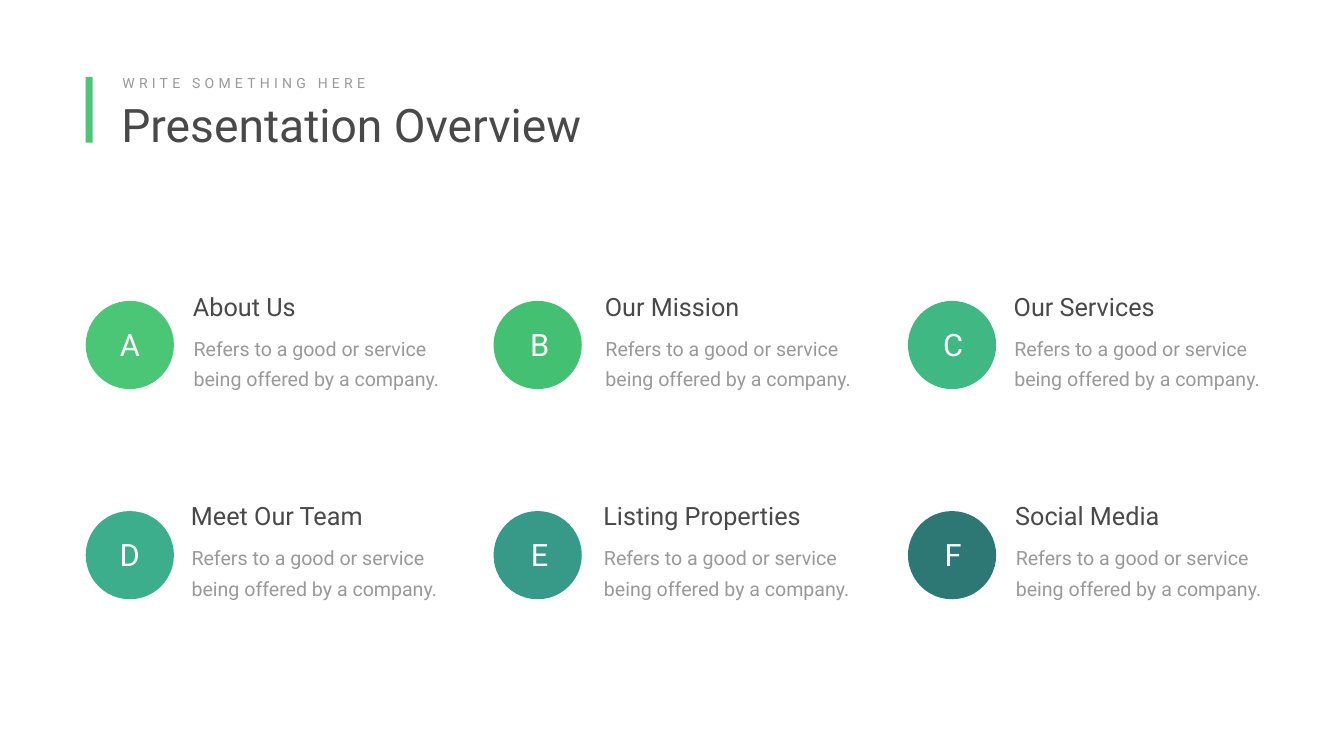
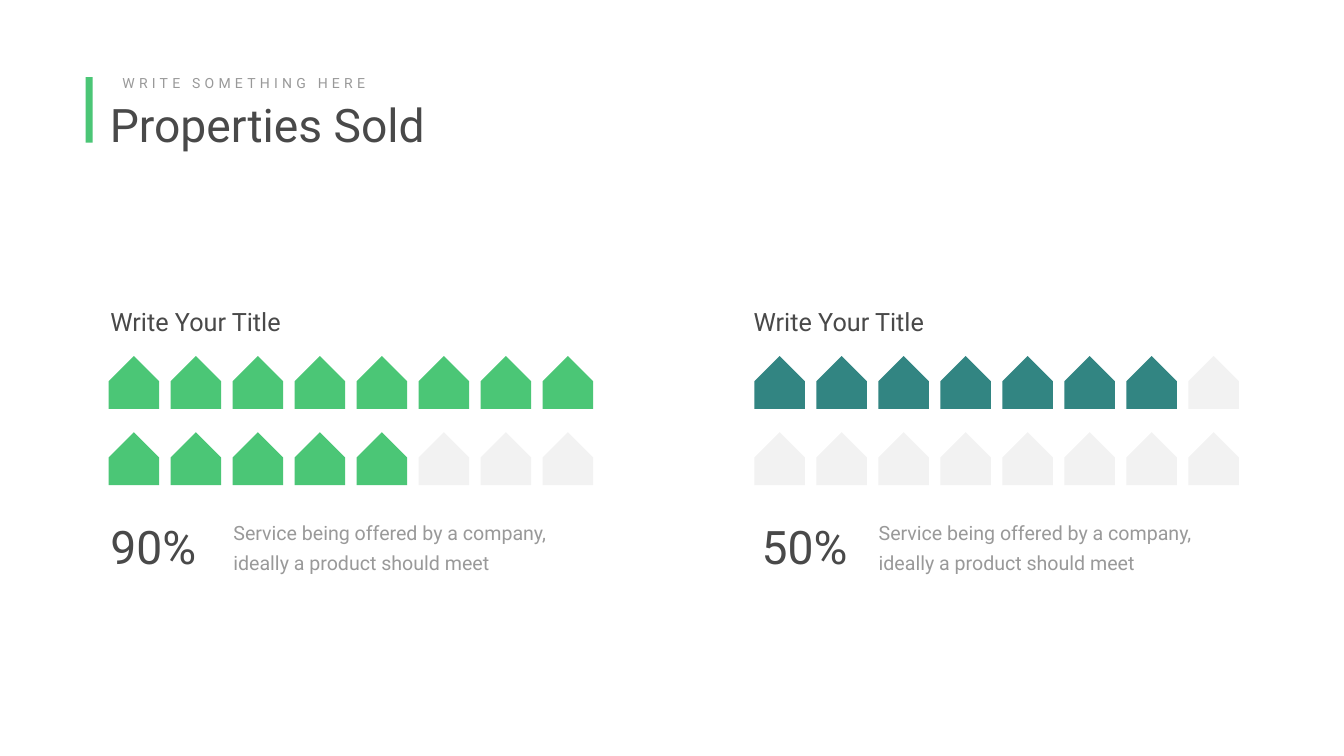
"""Build two slides: a lettered overview and a tally of houses sold."""
from dataclasses import dataclass
from typing import Any

from lxml import etree
from pptx import Presentation
from pptx.dml.color import RGBColor
from pptx.enum.shapes import MSO_SHAPE
from pptx.enum.text import MSO_AUTO_SIZE, PP_ALIGN
from pptx.oxml.ns import qn
from pptx.util import Inches, Pt

OVAL, RECT, HOUSE = MSO_SHAPE.OVAL, MSO_SHAPE.RECTANGLE, MSO_SHAPE.PENTAGON
GROW = MSO_AUTO_SIZE.SHAPE_TO_FIT_TEXT
LEFT, MID = PP_ALIGN.LEFT, PP_ALIGN.CENTER


@dataclass(frozen=True)
class Theme:
    """Colours, font and type sizes of the deck."""
    font: str = "Roboto"
    dark: str = "494949"
    soft: str = "999999"
    white: str = "FFFFFF"
    green: str = "4BC676"
    teal: str = "328582"
    empty: str = "808080"
    small: int = 20
    body: int = 28
    head: int = 36
    letter: int = 44
    title: int = 66


THEME = Theme()


@dataclass(frozen=True)
class Box:
    """Left, top, width and height in inches."""
    left: float
    top: float
    width: float
    height: float

    def lengths(self) -> list:
        """Return the four values as lengths."""
        return [Inches(n) for n in (self.left, self.top, self.width, self.height)]


@dataclass(frozen=True)
class Look:
    """The way a line of text is set."""
    size: int
    color: str
    align: Any = LEFT
    track: int = 0


@dataclass(frozen=True)
class Topic:
    """One lettered entry of the overview."""
    name: str
    color: str
    left: float
    width: float


@dataclass(frozen=True)
class Tally:
    """One block of houses with its share sold."""
    left: float
    head: float
    share: str
    share_left: float
    note_left: float
    sold: int
    color: str


TITLE = Look(THEME.title, THEME.dark)
HEAD = Look(THEME.head, THEME.dark)
BODY = Look(THEME.body, THEME.soft)
LETTER = Look(THEME.letter, THEME.white, MID)
KICKER = Look(THEME.small, THEME.soft, track=6)

TOPICS = (
    Topic("About Us", THEME.green, 3.73, 6),
    Topic("Our Mission", "43C072", 11.9, 6),
    Topic("Our Services", "40B884", 20.01, 5.02),
    Topic("Meet Our Team", "3CAE8C", 3.69, 5.02),
    Topic("Listing Properties", "379987", 11.87, 5.02),
    Topic("Social Media", "2D7875", 20.04, 5.02),
)
DISCS = (1.7, 9.79, 18.01)
LETTERS = (2.15, 10.28, 18.48)
ROWS = ((5.97, 5.73), (10.14, 9.88))
TALLIES = (
    Tally(2.13, 2.09, "90%", 2.09, 4.39, 13, THEME.green),
    Tally(14.94, 14.85, "50%", 15.01, 17.19, 7, THEME.teal),
)
PER_ROW, COUNT = 8, 16
STEP_X, STEP_Y = 1.23, 1.51


def apply(item: Any, values: dict) -> None:
    """Set each named attribute."""
    for name, value in values.items():
        setattr(item, name, value)


def write(slide: Any, box: Box, text: str, look: Look) -> Any:
    """Add a text box with one paragraph and return its frame."""
    frame = slide.shapes.add_textbox(*box.lengths()).text_frame
    apply(frame, {"word_wrap": True, "auto_size": GROW})
    para = frame.paragraphs[0]
    para.alignment = look.align
    run = para.add_run()
    run.text = text
    apply(run.font, {"name": THEME.font, "size": Pt(look.size)})
    run.font.color.rgb = RGBColor.from_string(look.color)
    if look.track:
        run.font._element.set("spc", str(look.track * 100))
    return frame


def note(slide: Any, box: Box, text: str) -> None:
    """Add body text with wide margins and open lines."""
    frame = write(slide, box, text, BODY)
    side, edge = Inches(0.24), Inches(0.12)
    apply(frame, {"margin_left": side, "margin_right": side,
                  "margin_top": edge, "margin_bottom": edge})
    frame.paragraphs[0].line_spacing = Pt(43)


def draw(slide: Any, kind: Any, box: Box, color: str, alpha: int = 100, turn: int = 0) -> None:
    """Add a filled shape with no line or shadow."""
    shape = slide.shapes.add_shape(kind, *box.lengths())
    apply(shape, {"rotation": turn})
    shape.shadow.inherit = False
    shape.line.fill.background()
    shape.fill.solid()
    shape.fill.fore_color.rgb = RGBColor.from_string(color)
    if alpha < 100:
        tint = shape._element.spPr.find(qn("a:solidFill"))[0]
        etree.SubElement(tint, qn("a:alpha")).set("val", str(alpha * 1000))


def start(deck: Any, title: str, left: float) -> Any:
    """Add a blank slide with its title block."""
    slide = deck.slides.add_slide(deck.slide_layouts[6])
    write(slide, Box(left, 1.86, 11, 1.21), title, TITLE)
    write(slide, Box(2.33, 1.42, 5.96, 0.44), "WRITE SOMETHING HERE", KICKER)
    draw(slide, RECT, Box(1.7, 1.53, 0.14, 1.3), THEME.green)
    return slide


def overview(deck: Any) -> None:
    """Draw the six lettered topics."""
    slide = start(deck, "Presentation Overview", 2.31)
    for i, (letter, topic) in enumerate(zip("ABCDEF", TOPICS)):
        row, col = divmod(i, len(DISCS))
        disc, head = ROWS[row]
        draw(slide, OVAL, Box(DISCS[col], disc, 1.75, 1.75), topic.color)
        write(slide, Box(LETTERS[col], disc + 0.44, 0.85, 0.84), letter, LETTER)
        write(slide, Box(topic.left, head, topic.width, 0.71), topic.name, HEAD)
        note(slide, Box(topic.left - 0.13, head + 0.71, 5.5, 1.39),
             "Refers to a good or service being offered by a company.")


def sales(deck: Any) -> None:
    """Draw the two tallies of houses."""
    slide = start(deck, "Properties Sold", 2.08)
    for tally in TALLIES:
        write(slide, Box(tally.head, 6.02, 4.59, 0.71), "Write Your Title", HEAD)
        for i in range(COUNT):
            row, col = divmod(i, PER_ROW)
            box = Box(tally.left + col * STEP_X, 7.09 + row * STEP_Y, 1.05, 1)
            color, alpha = (tally.color, 100) if i < tally.sold else (THEME.empty, 10)
            draw(slide, HOUSE, box, color, alpha, 270)
        write(slide, Box(tally.share_left, 10.23, 2.49, 1.21), tally.share, TITLE)
        note(slide, Box(tally.note_left, 10.08, 7.38, 1.39),
             "Service being offered by a company, ideally a product should meet")


def main() -> None:
    """Build and save the deck."""
    deck = Presentation()
    apply(deck, {"slide_width": Inches(26.66), "slide_height": Inches(15)})
    overview(deck)
    sales(deck)
    deck.save("out.pptx")


if __name__ == "__main__":
    main()
